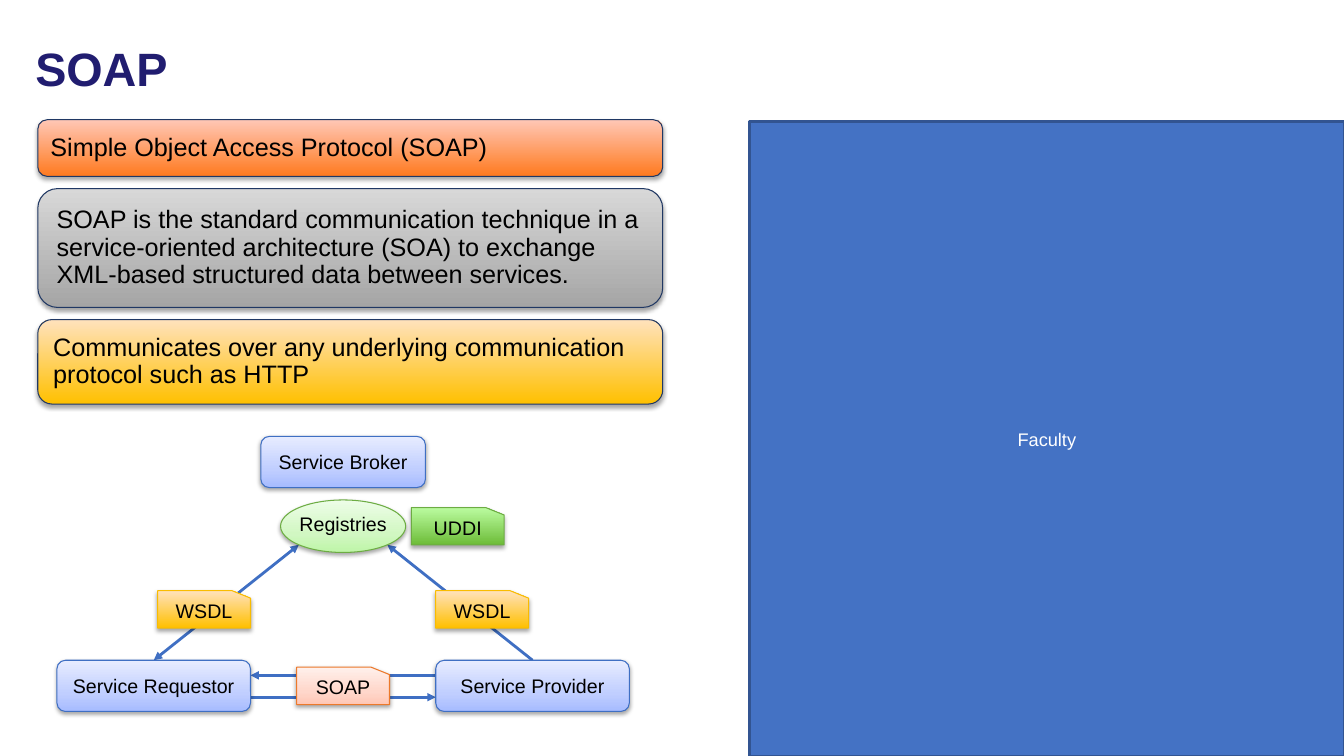
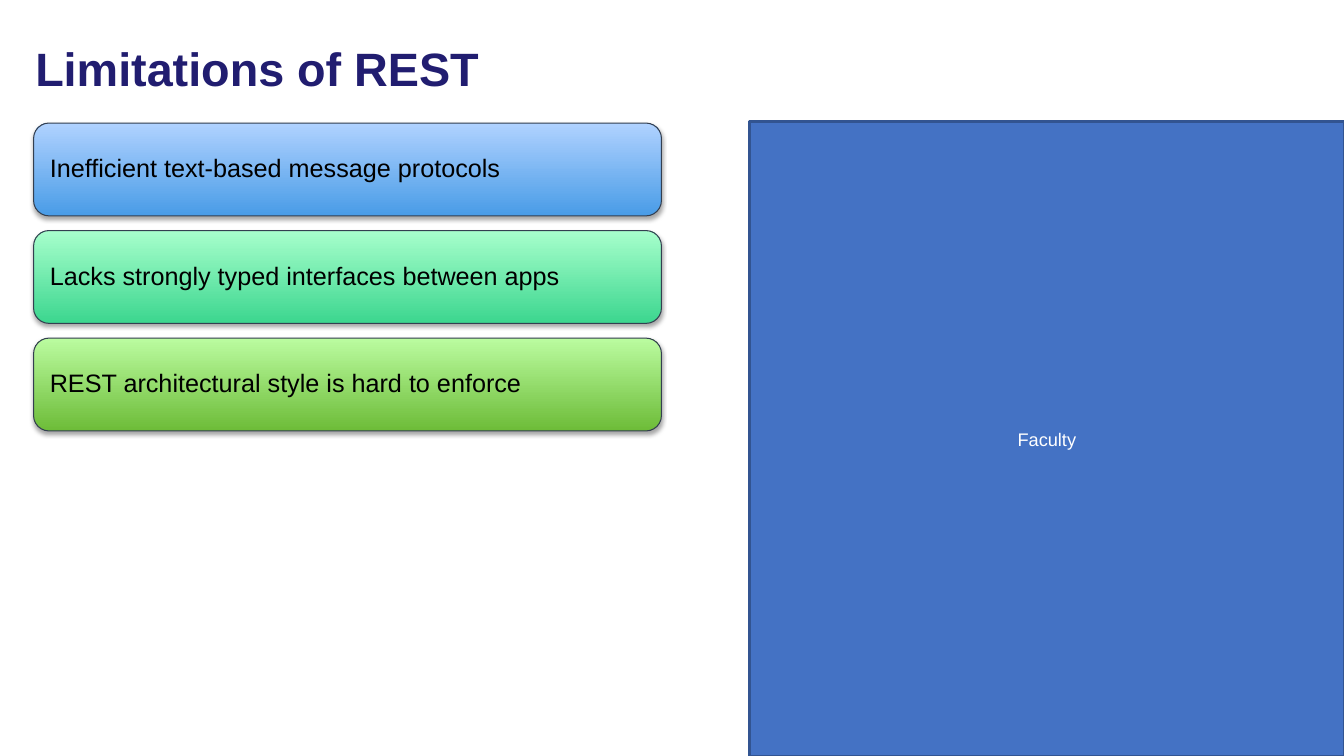
from dataclasses import dataclass

import pptx
import pptx.dml.color
import pptx.enum.shapes
import pptx.enum.text
import pptx.oxml
import pptx.oxml.ns
import pptx.util
from lxml import etree

COLUMNS, ROWS = 160, 90
CELL = pptx.util.Inches(7.5) / ROWS
FONT = "Arial"
BLACK, WHITE, NAVY = "000000", "FFFFFF", "211D70"
PANEL_FILL, PANEL_LINE = "4472C4", "325491"
BLUE_LINE, GREEN_LINE, GOLD_LINE, ORANGE_LINE = "3F6FC3", "6DAC43", "F9BC00", "EC792B"
SOAP_LINE, REST_LINE = "203864", "333F50"

ORANGE = ((0, "FF7A1F"), (100, "FFC7B6"))
GRAY = ((0, "A5A5A5"), (100, "D8D8D8"))
GOLD = ((0, "FFC000"), (100, "FFE2BD"))
BLUE = ((0, "499CE7"), (100, "B0D2FF"))
MINT = ((0, "3CD68F"), (100, "A7FFCC"))
GREEN = ((0, "6DBC38"), (100, "BBFCA0"))
PALE_BLUE = ((0, "A6BBFF"), (35, "C0CEFF"), (100, "E7ECFF"))
PALE_GREEN = ((0, "BEF5A7"), (35, "D1F7C2"), (100, "EDFDE7"))
PALE_ORANGE = ((0, "FFC7B6"), (35, "FFD7CB"), (100, "FFF0EB"))

Stops = tuple[tuple[int, str], ...]
Point = tuple[float, float]
Insets = tuple[float, float, float, float]
Kind = pptx.enum.shapes.MSO_SHAPE
Align = pptx.enum.text.PP_ALIGN
DEFAULT_INSETS: Insets = (1.2, 0.6, 1.2, 0.6)
TAG_INSETS: Insets = (1.2, 0, 1.2, 0.6)

AXIS = 40.85
SERVICE_OFFSET, SERVICE_ROW = 22.55, 81.65
SERVICE_WIDTH, SERVICE_HEIGHT = 23.05, 6.1
REGISTRY_ROW, REGISTRY_WIDTH, REGISTRY_HEIGHT = 62.65, 14.9, 6.25
TAG_WIDTH, TAG_HEIGHT = 11.05, 4.45
WSDL_OFFSET, WSDL_ROW = 16.55, 72.55


@dataclass(frozen=True)
class Card:
    text: str
    height: float
    stops: Stops


@dataclass(frozen=True)
class CardStack:
    left: float
    top: float
    width: float
    gap: float
    line: str
    cards: tuple[Card, ...]


@dataclass(frozen=True)
class Node:
    text: str
    kind: Kind
    center: Point
    width: float
    height: float
    stops: Stops
    line: str
    insets: Insets = DEFAULT_INSETS


@dataclass(frozen=True)
class Arrow:
    start: Point
    end: Point
    both_ends: bool = False


def service(text: str, column: float, row: float, width: float = SERVICE_WIDTH) -> Node:
    return Node(text, Kind.ROUNDED_RECTANGLE, (column, row), width, SERVICE_HEIGHT, PALE_BLUE, BLUE_LINE)


def tag(text: str, column: float, row: float, stops: Stops, line: str) -> Node:
    return Node(text, Kind.FLOWCHART_CARD, (column, row), TAG_WIDTH, TAG_HEIGHT, stops, line, TAG_INSETS)


SOAP_CARDS = CardStack(4.5, 14.25, 74.4, 1.45, SOAP_LINE, (
    Card("Simple Object Access Protocol (SOAP)", 6.75, ORANGE),
    Card("SOAP is the standard communication technique in a service-oriented architecture (SOA) "
         "to exchange XML-based structured data between services.", 14.15, GRAY),
    Card("Communicates over any underlying communication protocol such as HTTP", 10.05, GOLD),
))
REST_CARDS = CardStack(4, 14.65, 74.75, 1.75, REST_LINE, (
    Card("Inefficient text-based message protocols", 11.05, BLUE),
    Card("Lacks strongly typed interfaces between apps", 11.05, MINT),
    Card("REST architectural style is hard to enforce", 11.05, GREEN),
))

REQUESTOR, PROVIDER = AXIS - SERVICE_OFFSET, AXIS + SERVICE_OFFSET
REQUESTOR_EDGE, PROVIDER_EDGE = REQUESTOR + SERVICE_WIDTH / 2, PROVIDER - SERVICE_WIDTH / 2
SERVICE_TOP = SERVICE_ROW - SERVICE_HEIGHT / 2
DIAGONAL = 0.5 ** 0.5 / 2
REGISTRY_REACH = REGISTRY_WIDTH * DIAGONAL
REGISTRY_FOOT = REGISTRY_ROW + REGISTRY_HEIGHT * DIAGONAL

ARROWS = (
    Arrow((REQUESTOR, SERVICE_TOP), (AXIS - REGISTRY_REACH, REGISTRY_FOOT), True),
    Arrow((PROVIDER, SERVICE_TOP), (AXIS + REGISTRY_REACH, REGISTRY_FOOT)),
    Arrow((PROVIDER_EDGE, 80.4), (REQUESTOR_EDGE, 80.4)),
    Arrow((REQUESTOR_EDGE, 83), (PROVIDER_EDGE, 83)),
)
NODES = (
    service("Service Broker", AXIS, 55, 19.6),
    service("Service Requestor", REQUESTOR, SERVICE_ROW),
    service("Service Provider", PROVIDER, SERVICE_ROW),
    tag("UDDI", 54.5, REGISTRY_ROW, GREEN, GREEN_LINE),
    Node("Registries", Kind.OVAL, (AXIS, REGISTRY_ROW), REGISTRY_WIDTH, REGISTRY_HEIGHT,
         PALE_GREEN, GREEN_LINE, (0, 0, 0, 0.5)),
    tag("WSDL", AXIS - WSDL_OFFSET, WSDL_ROW, GOLD, GOLD_LINE),
    tag("WSDL", AXIS + WSDL_OFFSET, WSDL_ROW, GOLD, GOLD_LINE),
    tag("SOAP", AXIS, SERVICE_ROW, PALE_ORANGE, ORANGE_LINE),
)


def cells(count: float) -> pptx.util.Emu:
    return pptx.util.Emu(round(count * CELL))


def color(value: str) -> pptx.dml.color.RGBColor:
    return pptx.dml.color.RGBColor.from_string(value)


def add_element(parent, name: str, **attributes):
    element = etree.SubElement(parent, pptx.oxml.ns.qn(name))
    for key, value in attributes.items():
        element.set(key, str(value))
    return element


def find(shape, name: str):
    return shape._element.spPr.find(pptx.oxml.ns.qn(name))


def write_text(shape, text: str, size: float, hue: str, align: Align,
               insets: Insets = DEFAULT_INSETS, spacing: float = 1, bold: bool = False) -> None:
    frame = shape.text_frame
    frame.word_wrap = True
    frame.auto_size = pptx.enum.text.MSO_AUTO_SIZE.NONE
    frame.vertical_anchor = pptx.enum.text.MSO_ANCHOR.MIDDLE
    frame.margin_left, frame.margin_top, frame.margin_right, frame.margin_bottom = map(cells, insets)
    frame.text = text
    paragraph = frame.paragraphs[0]
    paragraph.alignment = align
    paragraph.line_spacing = spacing
    font = paragraph.font
    font.name, font.size, font.bold = FONT, pptx.util.Pt(size), bold
    font.color.rgb = color(hue)


def add_box(slide, kind: Kind, left: float, top: float, width: float, height: float,
            line: str, weight: float):
    shape = slide.shapes.add_shape(kind, *map(cells, (left, top, width, height)))
    shape.line.color.rgb = color(line)
    shape.line.width = pptx.util.Pt(weight)
    shape.shadow.inherit = False
    return shape


def shade(shape, stops: Stops) -> None:
    shape.fill.gradient()
    shape.fill.gradient_angle = 90
    stop_list = find(shape, "a:gradFill").find(pptx.oxml.ns.qn("a:gsLst"))
    for stop in list(stop_list):
        stop_list.remove(stop)
    for position, hue in stops:
        stop = add_element(stop_list, "a:gs", pos=position * 1000)
        add_element(stop, "a:srgbClr", val=hue)
    blur, distance = pptx.util.Pt(3.1), pptx.util.Pt(1.7)
    shadow = add_element(find(shape, "a:effectLst"), "a:outerShdw", blurRad=int(blur),
                         dist=int(distance), dir=5400000, rotWithShape=0)
    add_element(add_element(shadow, "a:srgbClr", val=BLACK), "a:alpha", val=35000)


def draw_cards(slide, stack: CardStack) -> None:
    top = stack.top
    for card in stack.cards:
        shape = add_box(slide, Kind.ROUNDED_RECTANGLE, stack.left, top, stack.width,
                        card.height, stack.line, 0.75)
        shade(shape, card.stops)
        inset = 0.84 + 0.05 * card.height
        write_text(shape, card.text, 18, BLACK, Align.LEFT, (inset,) * 4, 0.9)
        top += card.height + stack.gap


def draw_node(slide, node: Node) -> None:
    column, row = node.center
    shape = add_box(slide, node.kind, column - node.width / 2, row - node.height / 2,
                    node.width, node.height, node.line, 0.75)
    shade(shape, node.stops)
    if node.kind == Kind.FLOWCHART_CARD:
        find(shape, "a:xfrm").set("flipH", "1")
    write_text(shape, node.text, 14, BLACK, Align.CENTER, node.insets)


def draw_arrow(slide, arrow: Arrow) -> None:
    connector = slide.shapes.add_connector(pptx.enum.shapes.MSO_CONNECTOR.STRAIGHT,
                                           *map(cells, arrow.start + arrow.end))
    connector.line.color.rgb = color(BLUE_LINE)
    connector.line.width = pptx.util.Pt(2)
    line = find(connector, "a:ln")
    if arrow.both_ends:
        add_element(line, "a:headEnd", type="triangle")
    add_element(line, "a:tailEnd", type="triangle")
    add_element(connector._element.spPr, "a:effectLst")


def add_panel(slide, layout) -> None:
    left, top = 89.25, 14.5
    panel = add_box(slide, Kind.RECTANGLE, left, top, COLUMNS - left, ROWS - top, PANEL_LINE, 2)
    panel.fill.solid()
    panel.fill.fore_color.rgb = color(PANEL_FILL)
    write_text(panel, "Faculty", 13, WHITE, Align.CENTER)
    panel._element.nvSpPr.cNvPr.set("id", "20")
    layout.shapes._spTree.append(panel._element)


def add_slide(presentation, layout, title: str, stack: CardStack):
    slide = presentation.slides.add_slide(layout)
    heading = slide.shapes.title
    heading.left, heading.top, heading.width, heading.height = map(cells, (3, 3, 141.75, 10.9))
    write_text(heading, title, 33.4, NAVY, Align.LEFT, spacing=0.9, bold=True)
    draw_cards(slide, stack)
    return slide


def main() -> None:
    presentation = pptx.Presentation()
    presentation.slide_width, presentation.slide_height = cells(COLUMNS), cells(ROWS)
    layout = presentation.slide_layouts.get_by_name("Title Only")
    soap = add_slide(presentation, layout, "SOAP", SOAP_CARDS)
    add_panel(soap, layout)
    for arrow in ARROWS:
        draw_arrow(soap, arrow)
    for node in NODES:
        draw_node(soap, node)
    add_slide(presentation, layout, "Limitations of REST", REST_CARDS)
    presentation.save("out.pptx")


if __name__ == "__main__":
    main()
